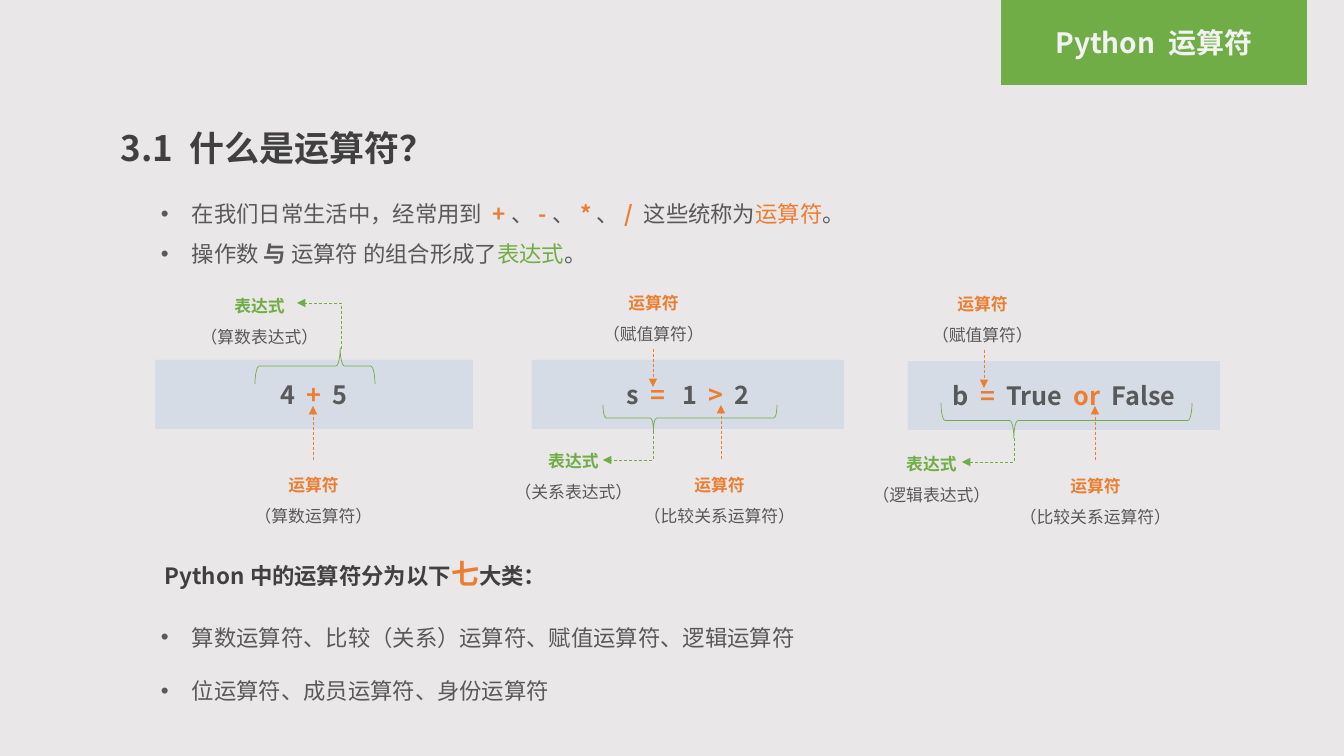
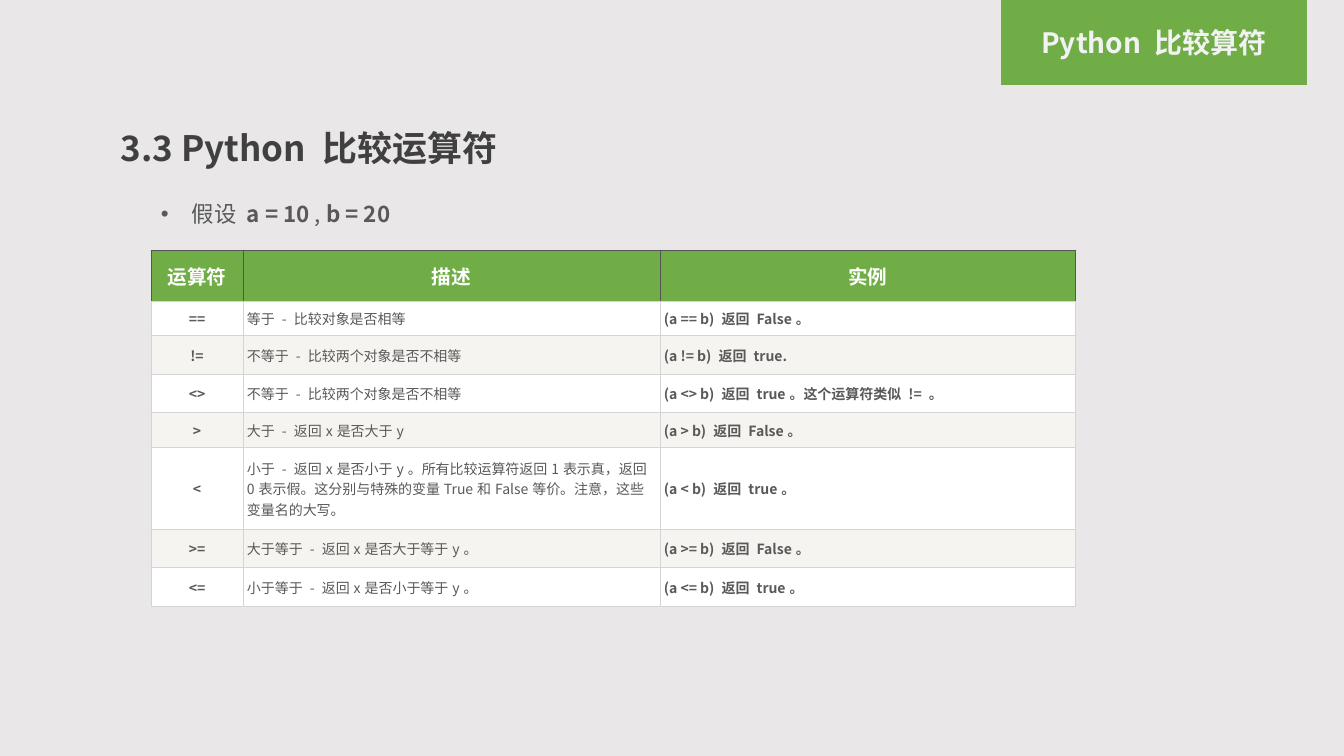
"""Build two slides on Python operators: what they are, and the comparison table."""
from typing import NamedTuple

from lxml.etree import SubElement
from pptx import Presentation
from pptx.dml.color import RGBColor
from pptx.enum.dml import MSO_LINE_DASH_STYLE as Dash
from pptx.enum.shapes import MSO_CONNECTOR as Link, MSO_SHAPE as Preset
from pptx.enum.text import MSO_ANCHOR as Anchor, PP_ALIGN as Align
from pptx.oxml.ns import qn
from pptx.util import Emu, Pt


class Theme:
    """Colours, fonts and type sizes."""
    page, white, stripe = "E9E7E7", "FFFFFF", "F6F4F0"
    green, orange, pale_blue = "70AD47", "ED7D31", "D6DCE5"
    body, heading, band_text = "595959", "404040", "F2F2F2"
    grid, header_grid = "D4D4D4", "555555"
    font, header_font = "Noto Sans CJK SC", "Calibri"
    title_size, band_size, expression_size, body_size = 25, 20, 18, 16
    header_size, label_size, cell_size = 14, 12, 10
    hairline, grid_line = 0.5, 0.75


class Run(NamedTuple):
    """A stretch of text with one look."""
    text: str
    colour: str = Theme.body
    bold: bool = False
    size: int = 0
    tracking: int = 0


def operator(text, bold=True):
    """Return an operator in the accent colour."""
    return Run(text, Theme.orange, bold)


SLIDE_SIZE = (1344, 756)
BAND = (1001, 0, 306, 85)
TITLE = (111, 101, 979, 74)
BULLETS = (151, 182, 1041, 92)
INDENT = 31

INTRO = [
    [Run("在我们日常生活中，经常用到 "), operator("+"), Run("、"), operator("-"), Run("、"),
     operator("*"), Run("、"), operator("/ "), Run("这些统称为"),
     operator("运算符", False), Run("。")],
    [Run("操作数 "), Run("与", bold=True), Run(" 运算符 的组合形成了"),
     Run("表达式", Theme.green), Run("。")],
]

NARROW, WIDE = 4, 8
EXPRESSIONS = [
    {
        "box": (155, 360, 318, 69),
        "tokens": [("4", NARROW), ("+", NARROW), ("5", 0)],
        "operators": "+",
        "labels": [("表达式", "（算数表达式）", (187, 281, 145)),
                   ("运算符", "（算数运算符）", (244, 460, 139))],
        "arrows": [(313, 460, 406)],
        "brace": (255, 348, 120, 36, 270),
        "elbow": (341, 349, 297, 303),
    },
    {
        "box": (532, 360, 312, 69),
        "tokens": [("s", NARROW), ("=", WIDE), ("1", NARROW), (">", NARROW), ("2", 0)],
        "operators": "=>",
        "labels": [("运算符", "（赋值算符）", (593, 278, 121)),
                   ("表达式", "（关系表达式）", (501, 436, 145)),
                   ("运算符", "（比较关系运算符）", (618, 460, 203))],
        "arrows": [(653, 349, 387), (721, 459, 405)],
        "brace": (603, 405, 174, 26, 90),
        "elbow": (653, 431, 603, 460),
    },
    {
        "box": (908, 361, 312, 69),
        "tokens": [("b", NARROW), ("=", NARROW), ("True", NARROW), ("or", NARROW),
                   ("False", 0)],
        "operators": ("=", "or"),
        "labels": [("运算符", "（赋值算符）", (922, 279, 121)),
                   ("表达式", "（逻辑表达式）", (859, 439, 145)),
                   ("运算符", "（比较关系运算符）", (994, 461, 203))],
        "arrows": [(984, 350, 388), (1095, 460, 406)],
        "brace": (941, 403, 251, 35, 90),
        "elbow": (1014, 438, 962, 462),
    },
]
LABEL_HEIGHT = 72

CLASSES_HEADING = [[Run("Python中的运算符分为以下", Theme.heading, True),
                    Run("七", Theme.orange, True, Theme.band_size),
                    Run("大类：", Theme.heading, True)]]
CLASSES = [[Run("算数运算符、比较（关系）运算符、赋值运算符、逻辑运算符")],
           [Run("位运算符、成员运算符、身份运算符")]]

ASSUMPTION = [[Run("假设 "), Run("a = 10 ", bold=True), Run(","), Run(" b = 20", bold=True)]]
TABLE_CORNER = (151, 250)
COLUMN_WIDTHS = (92, 417, 416)
ROW_HEIGHTS = (51, 34, 40, 38, 35, 82, 38, 39)
COMPARISONS = [
    ("运算符", "描述", "实例"),
    ("==", "等于 - 比较对象是否相等", "(a == b) 返回 False。"),
    ("!=", "不等于 - 比较两个对象是否不相等", "(a != b) 返回 true."),
    ("<>", "不等于 - 比较两个对象是否不相等", "(a <> b) 返回 true。这个运算符类似 != 。"),
    (">", "大于 - 返回x是否大于y", "(a > b) 返回 False。"),
    ("<", "小于 - 返回x是否小于y。所有比较运算符返回1表示真，返回0表示假。"
          "这分别与特殊的变量True和False等价。注意，这些变量名的大写。", "(a < b) 返回 true。"),
    (">=", "大于等于 - 返回x是否大于等于y。", "(a >= b) 返回 False。"),
    ("<=", "小于等于 - 返回x是否小于等于y。", "(a <= b) 返回 true。"),
]


def px(*lengths):
    """Turn pixels into EMU."""
    return [Emu(round(length * 914400 / 100.8)) for length in lengths]


def rgb(colour):
    """Return a colour object."""
    return RGBColor.from_string(colour)


def write(frame, paragraphs, size, align=Align.LEFT, spacing=1.0, bullet=False,
          font=Theme.font):
    """Fill a text frame run by run."""
    frame.word_wrap = True
    for index, runs in enumerate(paragraphs):
        paragraph = frame.add_paragraph() if index else frame.paragraphs[0]
        paragraph.alignment, paragraph.line_spacing = align, spacing
        if bullet:
            props = paragraph._p.get_or_add_pPr()
            indent = px(INDENT)[0]
            props.set("marL", str(indent))
            props.set("indent", str(-indent))
            SubElement(props, qn("a:buFont"), typeface="Arial")
            SubElement(props, qn("a:buChar"), char="•")
        for part in runs:
            run = paragraph.add_run()
            run.text = part.text
            run.font.name, run.font.bold = font, part.bold
            run.font.size = Pt(part.size or size)
            run.font.color.rgb = rgb(part.colour)
            props = run._r.get_or_add_rPr()
            SubElement(props, qn("a:ea"), typeface=Theme.font)
            if part.tracking:
                props.set("spc", str(part.tracking * 100))


def add_text(slide, place, paragraphs, size, **style):
    """Add a wrapped text box."""
    write(slide.shapes.add_textbox(*px(*place)).text_frame, paragraphs, size, **style)


def add_panel(slide, place, fill, runs, size):
    """Add a filled rectangle with one centred line."""
    panel = slide.shapes.add_shape(Preset.RECTANGLE, *px(*place))
    panel.shadow.inherit = False
    panel.fill.solid()
    panel.fill.fore_color.rgb = rgb(fill)
    panel.line.fill.background()
    panel.text_frame.vertical_anchor = Anchor.MIDDLE
    write(panel.text_frame, [runs], size, Align.CENTER)


def add_arrow(slide, kind, ends, colour):
    """Add a dashed arrow; an elbow leaves vertically."""
    arrow = slide.shapes.add_connector(kind, *px(*ends))
    arrow.line.color.rgb = rgb(colour)
    arrow.line.width = Pt(Theme.hairline)
    arrow.line.dash_style = Dash.DASH
    SubElement(arrow.line._get_or_add_ln(), qn("a:tailEnd"), type="triangle")
    props = arrow._element.spPr
    SubElement(props, qn("a:effectLst"))
    if kind == Link.ELBOW:
        guides = props.find(qn("a:prstGeom")).get_or_add_avLst()
        SubElement(guides, qn("a:gd"), name="adj1", fmla="val 0")


def add_brace(slide, left, top, width, depth, turn):
    """Add a brace lying on its side within the given area."""
    shift = (width - depth) / 2
    brace = slide.shapes.add_shape(
        Preset.RIGHT_BRACE, *px(left + shift, top - shift, depth, width))
    brace.rotation = turn
    brace.adjustments[0], brace.adjustments[1] = 0.12, 0.71
    brace.shadow.inherit = False
    brace.fill.background()
    brace.line.color.rgb = rgb(Theme.green)
    brace.line.width = Pt(Theme.hairline)


def add_expression(slide, expression):
    """Add an expression with its labels, arrows and brace."""
    runs = []
    for token, gap in expression["tokens"]:
        colour = Theme.orange if token in expression["operators"] else Theme.body
        runs.append(Run(token, colour, True))
        if gap:
            runs.append(Run(" ", bold=True, tracking=gap))
    add_panel(slide, expression["box"], Theme.pale_blue, runs, Theme.expression_size)
    for term, kind, place in expression["labels"]:
        colour = Theme.green if term == "表达式" else Theme.orange
        add_text(slide, (*place, LABEL_HEIGHT), [[Run(term, colour, True)], [Run(kind)]],
                 Theme.label_size, align=Align.CENTER, spacing=1.5)
    add_brace(slide, *expression["brace"])
    add_arrow(slide, Link.ELBOW, expression["elbow"], Theme.green)
    for x, start, end in expression["arrows"]:
        add_arrow(slide, Link.STRAIGHT, (x, start, x, end), Theme.orange)


def style_cell(cell, text, row, column):
    """Write one table cell with its borders and fill."""
    header = row == 0
    side, edge = (2, 2) if header else (4, 6)
    cell.margin_left, cell.margin_right, cell.margin_top, cell.margin_bottom = px(
        side, side, edge, edge)
    cell.vertical_anchor = Anchor.MIDDLE
    run = Run(text, Theme.white if header else Theme.body, header or column != 1)
    write(cell.text_frame, [[run]], Theme.header_size if header else Theme.cell_size,
          Align.CENTER if header or column == 0 else Align.LEFT,
          font=Theme.header_font if header else Theme.font)
    props = cell._tc.get_or_add_tcPr()
    for border in ("lnL", "lnR", "lnT", "lnB"):
        line = SubElement(props, qn("a:" + border), w=str(Pt(Theme.grid_line)))
        colour = Theme.header_grid if header and border != "lnB" else Theme.grid
        SubElement(SubElement(line, qn("a:solidFill")), qn("a:srgbClr"), val=colour)
    cell.fill.solid()
    cell.fill.fore_color.rgb = rgb(
        Theme.green if header else Theme.white if row % 2 else Theme.stripe)


def add_comparisons(slide):
    """Add the table of comparison operators."""
    size = (sum(COLUMN_WIDTHS), sum(ROW_HEIGHTS))
    table = slide.shapes.add_table(
        len(ROW_HEIGHTS), len(COLUMN_WIDTHS), *px(*TABLE_CORNER, *size)).table
    table.first_row = table.horz_banding = False
    for column, width in zip(table.columns, px(*COLUMN_WIDTHS)):
        column.width = width
    for row, height in zip(table.rows, px(*ROW_HEIGHTS)):
        row.height = height
    for row, texts in enumerate(COMPARISONS):
        for column, text in enumerate(texts):
            style_cell(table.cell(row, column), text, row, column)


def start_slide(deck, topic, title, bullets):
    """Add a slide with its band, title and opening bullets."""
    slide = deck.slides.add_slide(deck.slide_layouts[6])
    slide.background.fill.solid()
    slide.background.fill.fore_color.rgb = rgb(Theme.page)
    add_panel(slide, BAND, Theme.green, [Run(topic, Theme.band_text, True)], Theme.band_size)
    add_text(slide, TITLE, [[Run(title, Theme.heading, True)]], Theme.title_size, spacing=1.5)
    add_text(slide, BULLETS, bullets, Theme.body_size, spacing=1.5, bullet=True)
    return slide


def main():
    """Build and save the deck."""
    deck = Presentation()
    deck.slide_width, deck.slide_height = px(*SLIDE_SIZE)

    basics = start_slide(deck, "Python 运算符", "3.1 什么是运算符？", INTRO)
    for expression in EXPRESSIONS:
        add_expression(basics, expression)
    add_text(basics, (155, 552, 395, 44), CLASSES_HEADING, Theme.body_size)
    add_text(basics, (151, 592, 1041, 119), CLASSES, Theme.body_size, spacing=2.0, bullet=True)

    comparing = start_slide(deck, "Python 比较算符", "3.3 Python 比较运算符", ASSUMPTION)
    add_comparisons(comparing)
    deck.save("out.pptx")


if __name__ == "__main__":
    main()
